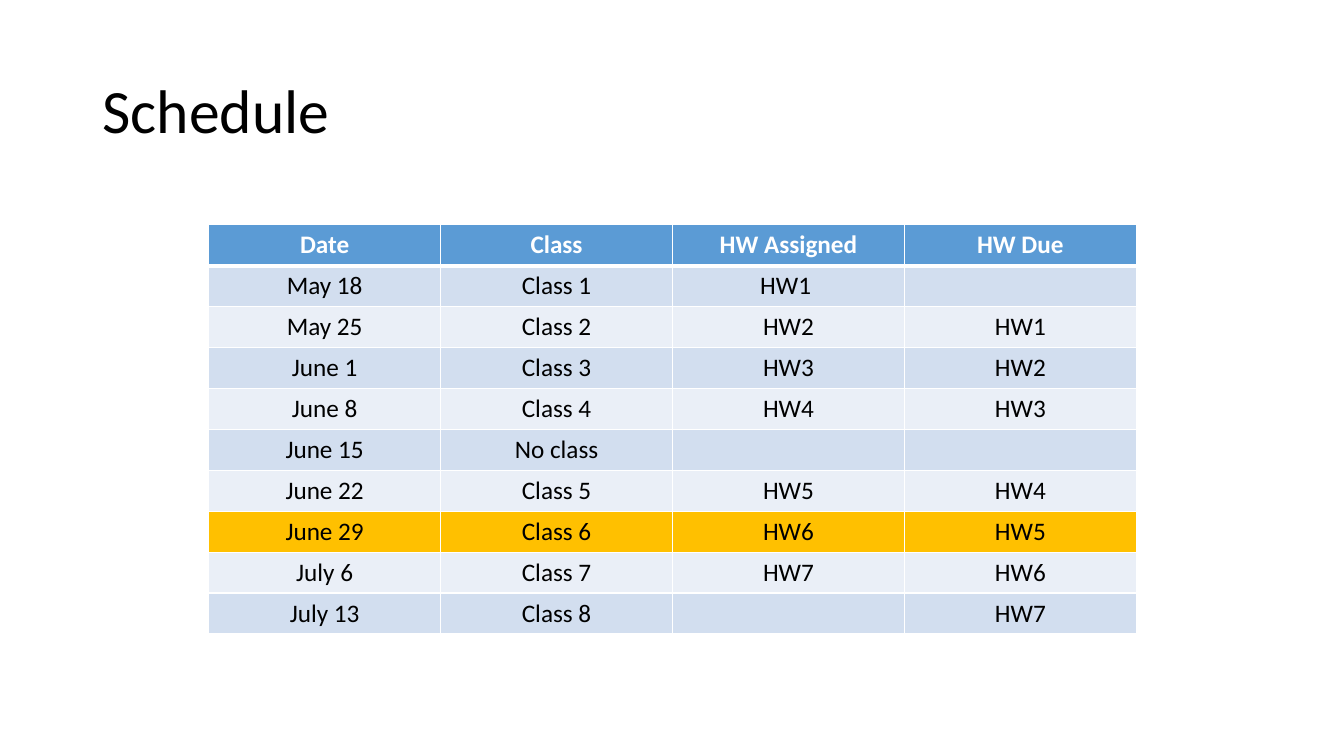
"""Build the class schedule slide."""
from lxml import etree
from pptx import Presentation
from pptx.dml.color import RGBColor
from pptx.enum.text import MSO_ANCHOR, PP_ALIGN
from pptx.oxml.ns import qn
from pptx.util import Inches, Pt

MIDDLE = MSO_ANCHOR.MIDDLE
LEFT, CENTER = PP_ALIGN.LEFT, PP_ALIGN.CENTER
COLORS = {"ink": "000000", "white": "FFFFFF", "head": "5B9BD5",
          "odd": "D2DEEF", "even": "EAEFF7", "mark": "FFC000"}
MARKED = 7
ROWS = [
    ("Date", "Class", "HW Assigned", "HW Due"),
    ("May 18", "Class 1", "HW1 ", ""),
    ("May 25", "Class 2", "HW2", "HW1"),
    ("June 1", "Class 3", "HW3", "HW2"),
    ("June 8", "Class 4", "HW4", "HW3"),
    ("June 15", "No class", "", ""),
    ("June 22", "Class 5", "HW5", "HW4"),
    ("June 29", "Class 6", "HW6", "HW5"),
    ("July 6", "Class 7", "HW7", "HW6"),
    ("July 13", "Class 8", "", "HW7"),
]


class Board:
    def __init__(self, slide, font="Calibri"):
        self.slide = slide
        self.font = font

    def label(self, frame, text, size, color, align, bold=False):
        para = frame.paragraphs[0]
        para.text = text
        para.alignment = align
        font = para.font
        font.name, font.size, font.bold = self.font, Pt(size), bold
        font.color.rgb = RGBColor.from_string(COLORS[color])
        return para

    def title(self, text, left, top, width, height):
        box = self.slide.shapes.add_textbox(
            Inches(left), Inches(top), Inches(width), Inches(height))
        frame = box.text_frame
        frame.word_wrap = True
        frame.vertical_anchor = MIDDLE
        self.label(frame, text, 44, "ink", LEFT).line_spacing = 0.9

    def border(self, cell, side, width):
        line = etree.SubElement(cell._tc.get_or_add_tcPr(), qn(f"a:{side}"),
                                w=str(Pt(width)))
        fill = etree.SubElement(line, qn("a:solidFill"))
        etree.SubElement(fill, qn("a:srgbClr"), val=COLORS["white"])

    def cell(self, cell, text, fill, row):
        head = row == 0
        widths = {"lnL": 1, "lnR": 1, "lnT": 3 if row == 1 else 1,
                  "lnB": 3 if head else 1}
        for side, width in widths.items():
            self.border(cell, side, width)
        cell.fill.solid()
        cell.fill.fore_color.rgb = RGBColor.from_string(COLORS[fill])
        self.label(cell.text_frame, text, 18, "white" if head else "ink",
                   CENTER, head)

    def table(self, rows, marked, left, top, width, height):
        table = self.slide.shapes.add_table(
            len(rows), len(rows[0]), Inches(left), Inches(top),
            Inches(width), Inches(height)).table
        fills = {0: "head", marked: "mark"}
        for r, row in enumerate(rows):
            fill = fills.get(r, "odd" if r % 2 else "even")
            for c, text in enumerate(row):
                self.cell(table.cell(r, c), text, fill, r)


def main():
    deck = Presentation()
    deck.slide_width, deck.slide_height = Inches(13.33), Inches(7.5)
    board = Board(deck.slides.add_slide(deck.slide_layouts[6]))
    board.title("Schedule", 0.92, 0.4, 11.5, 1.45)
    board.table(ROWS, MARKED, 2.07, 2.23, 9.2, 4.06)
    deck.save("out.pptx")


if __name__ == "__main__":
    main()
